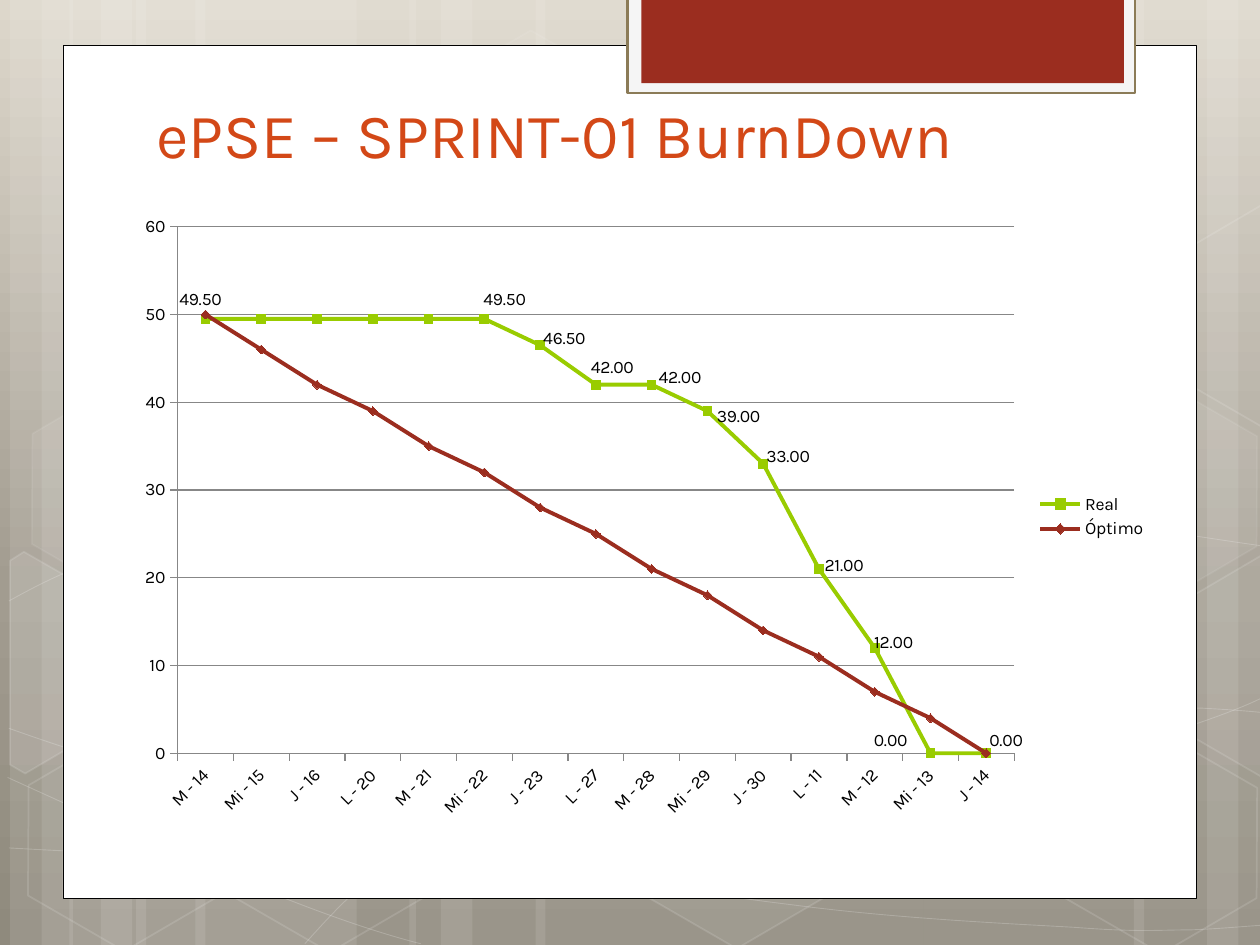
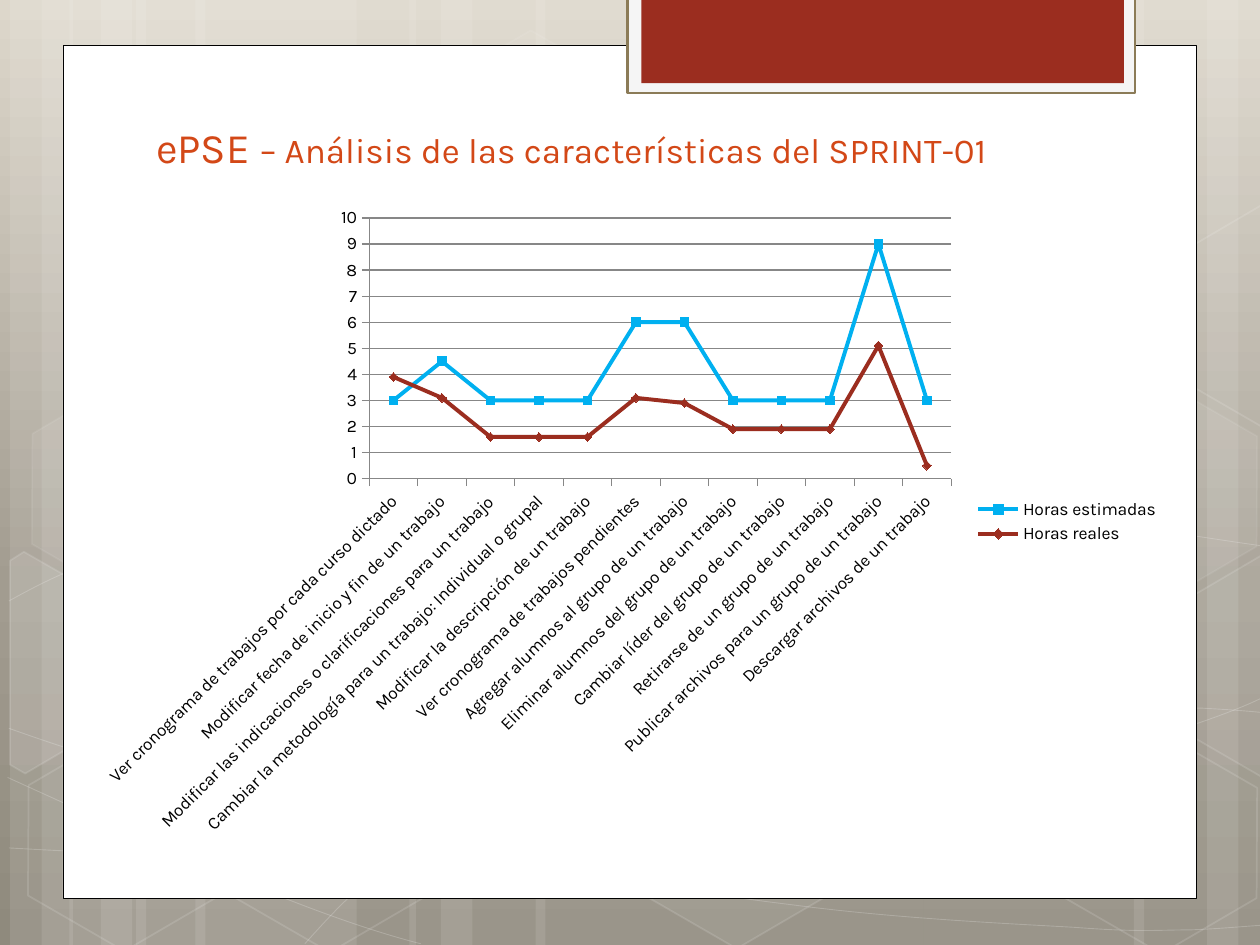
import pptx
import pptx.chart.data
import pptx.dml.color
import pptx.enum.chart
import pptx.enum.shapes
import pptx.enum.text
import pptx.oxml
import pptx.oxml.ns
import pptx.util
from lxml import etree

Inches = pptx.util.Inches
Pt = pptx.util.Pt
RGBColor = pptx.dml.color.RGBColor
MSO_SHAPE = pptx.enum.shapes.MSO_SHAPE
Place = pptx.enum.chart.XL_LABEL_POSITION
Marker = pptx.enum.chart.XL_MARKER_STYLE
qn = pptx.oxml.ns.qn

FONT = "Karla"
WHITE = RGBColor(0xFF, 0xFF, 0xFF)
BLACK = RGBColor(0x00, 0x00, 0x00)
RED = RGBColor(0x9B, 0x2D, 0x1F)
ORANGE = RGBColor(0xD3, 0x48, 0x17)
GREEN = RGBColor(0x99, 0xCC, 0x00)
BLUE = RGBColor(0x00, 0xB0, 0xF0)
GREY = RGBColor(0x87, 0x87, 0x87)
PALE = RGBColor(0xF5, 0xF5, 0xF5)
TAN = RGBColor(0x8B, 0x7B, 0x57)
BACKDROP = [(0, RGBColor(0xDD, 0xD7, 0xCB)), (62, RGBColor(0xA2, 0x9C, 0x90)),
            (100, RGBColor(0x8F, 0x8A, 0x7D))]

STRIPS = [(1.08, 1.75), (0.08, 0.5), (0.33, 0.83), (1.55, 1.75), (0.55, 0.5), (0.8, 0.83),
          (7.33, 1.75), (9.58, 0.5), (9, 0.83), (4.25, 3.08), (3.25, 0.5), (3.5, 0.83)]
HEXAGONS = [(3.34, 0.36, 4, 8), (4.97, 5.89, 6, 12), (0.11, 5.91, 0, 12), (0.14, 3.12, 7, 8),
            (1.74, 5.92, 0, 12), (8.34, 5.93, 0, 12), (8.34, 3.14, 7, 8)]
CUT_HEXAGONS = [
    ([(0.08, 4.45), (0.19, 4.38), (0.96, 4.82), (0.95, 5.7), (0.2, 6.14), (0.08, 6.07)], 10),
    ([(9.26, 4.85), (10.01, 4.41), (10.09, 4.46), (10.09, 6.13), (10.02, 6.17), (9.26, 5.73)], 4),
    ([(9.26, 2.07), (10.01, 1.63), (10.1, 1.68), (10.09, 3.35), (10.02, 3.39), (9.26, 2.95)], 0),
]
WAVES = [
    [(0.07, 6.73), (0.61, 6.76), (1.15, 6.79), (1.9, 6.78), (2.65, 6.77), (3.58, 6.75),
     (4.58, 6.65), (5.58, 6.55), (7, 6.36), (7.92, 6.17), (8.83, 5.98), (9.77, 5.68), (10.07, 5.51)],
    [(0.07, 4.77), (0.36, 4.61), (0.65, 4.46), (1.21, 4.31), (1.78, 4.16), (2.59, 3.94),
     (3.47, 3.87), (4.36, 3.8), (5.44, 3.79), (6.54, 3.87), (7.64, 3.95), (9.47, 4.26), (10.07, 4.34)],
    [(0.06, 6.17), (1.27, 6.72), (2.47, 7.27), (3.34, 7.49)],
    [(0.07, 5.78), (0.38, 5.89), (0.7, 6), (1.28, 6.16), (1.86, 6.31), (2.73, 6.56),
     (3.57, 6.73), (4.4, 6.9), (5.45, 7.08), (6.28, 7.18), (7.11, 7.29), (8, 7.33),
     (8.53, 7.36), (9.05, 7.4), (9.19, 7.38), (9.45, 7.38), (9.71, 7.37), (9.89, 7.35), (10.07, 7.34)],
    [(2.42, 7.49), (2.6, 7.29), (2.78, 7.09), (3.02, 6.91), (3.26, 6.73), (3.6, 6.53),
     (3.88, 6.39), (4.16, 6.25), (4.33, 6.19), (4.7, 6.09), (5.06, 5.99), (5.73, 5.85),
     (6.08, 5.78), (6.44, 5.71), (6.49, 5.71), (6.8, 5.69), (7.11, 5.66), (7.6, 5.63),
     (7.94, 5.62), (8.29, 5.61), (8.86, 5.62), (8.86, 5.62), (9.08, 5.62), (9.31, 5.62),
     (9.53, 5.62), (9.71, 5.63), (9.88, 5.64), (10.06, 5.66)],
]

BURNDOWN = {
    "box": (0.98, 1.62, 8.22, 4.96), "plot": (1.41, 1.8, 6.64, 4.18), "top": 60, "step": 10,
    "cats": ["M - 14", "Mi - 15", "J - 16", "L - 20", "M - 21", "Mi - 22", "J - 23", "L - 27",
             "M - 28", "Mi - 29", "J - 30", "L - 11", "M - 12", "Mi - 13", "J - 14"],
    "series": [("Real", [49.5] * 6 + [46.5, 42, 42, 39, 33, 21, 12, 0, 0], GREEN),
               ("Óptimo", [50, 46, 42, 39, 35, 32, 28, 25, 21, 18, 14, 11, 7, 4, 0], RED)],
    "labels": {0: (Place.ABOVE, -0.04, 0), 5: (Place.ABOVE, 0.16, 0), 6: (Place.RIGHT, -0.05, -0.05),
               7: (Place.ABOVE, 0.13, 0.02), 8: (Place.RIGHT, -0.02, -0.06),
               9: (Place.RIGHT, 0, 0.04), 10: (Place.RIGHT, -0.05, -0.06),
               11: (Place.RIGHT, -0.03, -0.03), 12: (Place.RIGHT, -0.08, -0.04),
               13: (Place.LEFT, -0.11, -0.1), 14: (Place.RIGHT, -0.05, -0.1)},
}
FEATURES = {
    "box": (0.67, 1.55, 8.63, 5.18), "plot": (2.93, 1.73, 4.62, 2.07), "top": 10, "step": 1,
    "cats": ["Ver cronograma de trabajos por cada curso dictado",
             "Modificar fecha de inicio y fin de un trabajo",
             "Modificar las indicaciones o clarificaciones para un trabajo",
             "Cambiar la metodología para un trabajo: Individual o grupal",
             "Modificar la descripción de un trabajo",
             "Ver cronograma de trabajos pendientes",
             "Agregar alumnos al grupo de un trabajo",
             "Eliminar alumnos del grupo de un trabajo",
             "Cambiar líder del grupo de un trabajo",
             "Retirarse de un grupo de un trabajo",
             "Publicar archivos para un grupo de un trabajo",
             "Descargar archivos de un trabajo"],
    "series": [("Horas estimadas", [3, 4.5, 3, 3, 3, 6, 6, 3, 3, 3, 9, 3], BLUE),
               ("Horas reales", [3.9, 3.1, 1.6, 1.6, 1.6, 3.1, 2.9, 1.9, 1.9, 1.9, 5.1, 0.5], RED)],
    "labels": {},
}


def apply(target, **values):
    """Set each attribute given on the target."""
    for name, value in values.items():
        setattr(target, name, value)


def tint(fill, color, alpha=100):
    """Fill with a colour at an opacity in percent; zero leaves it empty."""
    if not alpha:
        fill.background()
        return
    fill.solid()
    fill.fore_color.rgb = color
    if alpha < 100:
        srgb = fill._xPr.find(qn("a:solidFill"))[0]
        etree.SubElement(srgb, qn("a:alpha")).set("val", str(alpha * 1000))


def paint(shape, fill=WHITE, fill_alpha=100, line=WHITE, line_alpha=100, width=1):
    """Give a shape its fill and outline without a shadow."""
    shape.shadow.inherit = False
    tint(shape.fill, fill, fill_alpha)
    tint(shape.line.fill, line, line_alpha)
    if line_alpha:
        shape.line.width = Pt(width)


def add_box(slide, kind, box, **look):
    """Add a painted preset shape."""
    shape = slide.shapes.add_shape(kind, *map(Inches, box))
    paint(shape, **look)
    return shape


def add_outline(slide, points, close, **look):
    """Add a painted freeform through points in inches."""
    points = [(Inches(x), Inches(y)) for x, y in points]
    builder = slide.shapes.build_freeform(*points[0], scale=1.0)
    builder.add_line_segments(points[1:], close=close)
    shape = builder.convert_to_shape()
    paint(shape, **look)
    return shape


def bend(shape):
    """Turn every three line segments of an outline into one Bezier curve."""
    segments = list(shape._element.iter(qn("a:lnTo")))
    outline = segments[0].getparent()
    for first in range(0, len(segments), 3):
        cubic = etree.SubElement(outline, qn("a:cubicBezTo"))
        for segment in segments[first:first + 3]:
            cubic.append(segment[0])
            outline.remove(segment)


def add_backdrop(slide):
    """Draw the gradient with its strips, waves and hexagons."""
    fill = slide.background.fill
    fill.gradient()
    fill.gradient_angle = 270
    stops = fill._fill._gradFill.find(qn("a:gsLst"))
    for stop in list(stops):
        stops.remove(stop)
    for position, color in BACKDROP:
        stop = etree.SubElement(stops, qn("a:gs"), pos=str(position * 1000))
        etree.SubElement(stop, qn("a:srgbClr"), val=str(color))
    for left, width in STRIPS:
        add_box(slide, MSO_SHAPE.RECTANGLE, (left, 0, width, 7.5), fill_alpha=10, line_alpha=0)
    for knots in WAVES:
        bend(add_outline(slide, knots, False, fill_alpha=0, line_alpha=20, width=0.5))
    for left, top, fill_alpha, line_alpha in HEXAGONS:
        hexagon = add_box(slide, MSO_SHAPE.HEXAGON, (left, top, 1.75, 1.52),
                          fill_alpha=fill_alpha, line_alpha=line_alpha)
        hexagon.rotation = 30
        hexagon.adjustments[0] = 0.285
        hexagon.adjustments[1] = 1.155
    for corners, fill_alpha in CUT_HEXAGONS:
        add_outline(slide, corners, True, fill_alpha=fill_alpha, line_alpha=12)


def add_frame(slide):
    """Draw the white page and the red tab hanging from the top."""
    add_box(slide, MSO_SHAPE.RECTANGLE, (0.5, 0.36, 9, 6.77), line=BLACK, width=0.5)
    add_box(slide, MSO_SHAPE.RECTANGLE, (4.98, -0.02, 4.03, 0.76), fill=PALE, line=TAN, width=1.25)
    add_box(slide, MSO_SHAPE.RECTANGLE, (5.09, -0.02, 3.83, 0.68), fill=RED, line_alpha=0)


def add_title(slide, box, pieces):
    """Write the title from pieces of text and size."""
    frame = slide.shapes.add_textbox(*map(Inches, box)).text_frame
    apply(frame, word_wrap=True, vertical_anchor=pptx.enum.text.MSO_ANCHOR.BOTTOM)
    for text, size in pieces:
        run = frame.paragraphs[0].add_run()
        run.text = text
        apply(run.font, name=FONT, size=Pt(size))
        run.font.color.rgb = ORANGE


def manual_layout(**values):
    """Return a chart layout element with the given settings."""
    layout = pptx.oxml.parse_xml(
        "<c:layout %s><c:manualLayout/></c:layout>" % pptx.oxml.ns.nsdecls("c"))
    for name, value in values.items():
        text = value if isinstance(value, str) else "%.4f" % value
        etree.SubElement(layout[0], qn("c:" + name), val=text)
    return layout


def place_plot(chart, box, plot):
    """Fix the inner plot area inside the chart box."""
    area = chart._chartSpace.chart.plotArea
    for old in area.findall(qn("c:layout")):
        area.remove(old)
    left, top, width, height = box
    area.insert(0, manual_layout(
        layoutTarget="inner", xMode="edge", yMode="edge",
        x=(plot[0] - left) / width, y=(plot[1] - top) / height,
        w=plot[2] / width, h=plot[3] / height))


def label_points(series, labels, box):
    """Show values at chosen points, each shifted in inches, without leader lines."""
    apply(series.data_labels, show_value=False, number_format="0.00", number_format_is_linked=False)
    for index, (position, right, down) in labels.items():
        label = series.points[index].data_label
        label.position = position
        element = label._dLbl
        element.insert(1, manual_layout(x=right / box[2], y=down / box[3]))
        number = etree.Element(qn("c:numFmt"), formatCode="0.00", sourceLinked="0")
        element.insert(2, number)
    for leader in series._element.iter(qn("c:showLeaderLines")):
        leader.set("val", "0")


def add_line_chart(slide, box, plot, top, step, cats, series, labels):
    """Draw a marked line chart with slanted categories and a legend."""
    data = pptx.chart.data.CategoryChartData()
    data.categories = cats
    for name, values, _ in series:
        data.add_series(name, values)
    chart = slide.shapes.add_chart(
        pptx.enum.chart.XL_CHART_TYPE.LINE_MARKERS, *map(Inches, box), data).chart
    apply(chart, has_title=False, has_legend=True)
    apply(chart.font, name=FONT, size=Pt(10))
    chart.font.color.rgb = BLACK
    apply(chart.legend, position=pptx.enum.chart.XL_LEGEND_POSITION.RIGHT, include_in_layout=False)
    place_plot(chart, box, plot)

    values, days = chart.value_axis, chart.category_axis
    apply(values, minimum_scale=0, maximum_scale=top, major_unit=step, has_major_gridlines=True)
    apply(values.tick_labels, number_format="0", number_format_is_linked=False)
    for axis in (values, days):
        axis.major_tick_mark = pptx.enum.chart.XL_TICK_MARK.OUTSIDE
    for part in (values, days, values.major_gridlines):
        part.format.line.color.rgb = GREY
        part.format.line.width = Pt(0.75)
    apply(days.tick_labels.font, name=FONT, size=Pt(10))
    days._element.find(qn("c:txPr")).find(qn("a:bodyPr")).set("rot", "-2700000")

    chart.plots[0].vary_by_categories = False
    for line, (_, _, color), symbol in zip(chart.plots[0].series, series,
                                           (Marker.SQUARE, Marker.DIAMOND)):
        line.smooth = False
        line.format.line.color.rgb = color
        line.format.line.width = Pt(2.25)
        apply(line.marker, style=symbol, size=5)
        tint(line.marker.format.fill, color)
        line.marker.format.line.color.rgb = color
    if labels:
        label_points(chart.plots[0].series[0], labels, box)


def add_chart_slide(deck, title, content):
    """Add one slide with the shared look, a title and a chart."""
    slide = deck.slides.add_slide(deck.slide_layouts[6])
    add_backdrop(slide)
    add_frame(slide)
    add_title(slide, (1.14, 0.83, 7.68, 0.58), title)
    add_line_chart(slide, **content)


deck = pptx.Presentation()
apply(deck, slide_width=Inches(10), slide_height=Inches(7.5))
add_chart_slide(deck, [("ePSE – SPRINT-01 BurnDown", 36)], BURNDOWN)
add_chart_slide(deck, [("ePSE ", 24), ("– Análisis de las características del SPRINT-01", 20)], FEATURES)
deck.save("out.pptx")
